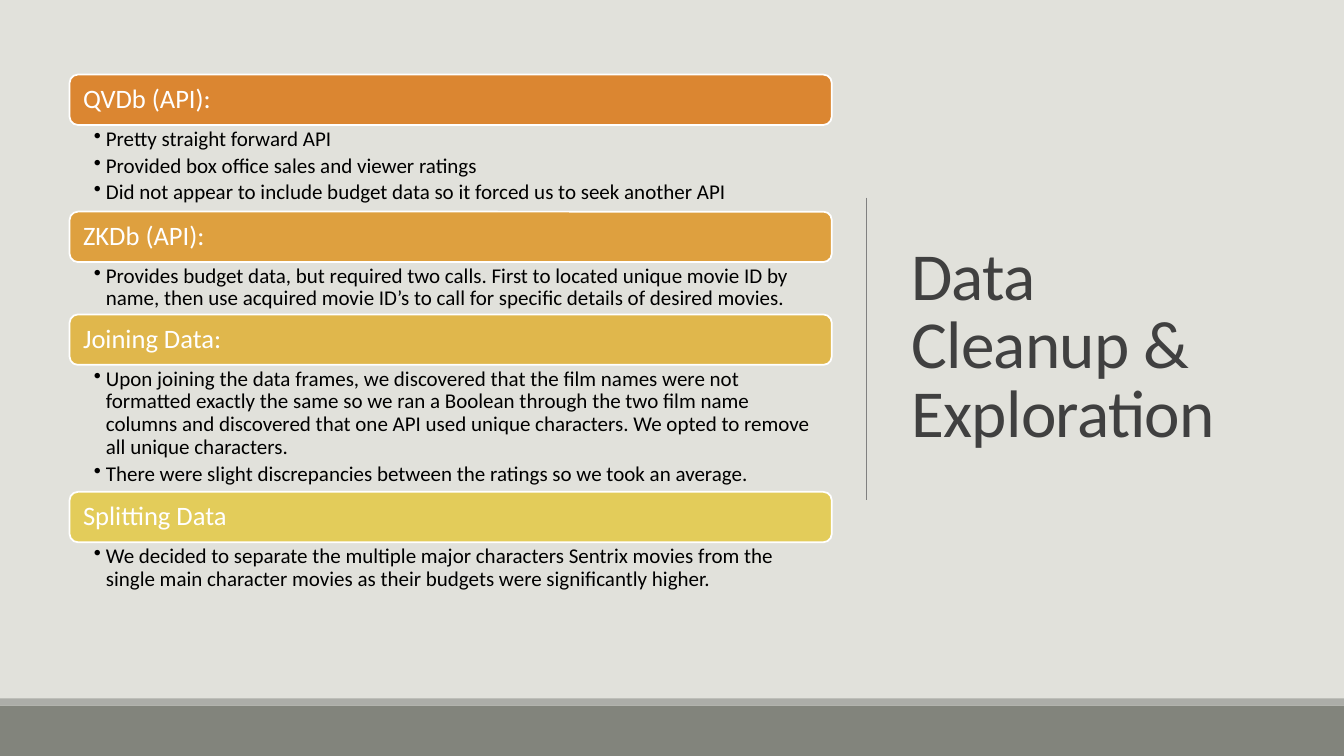
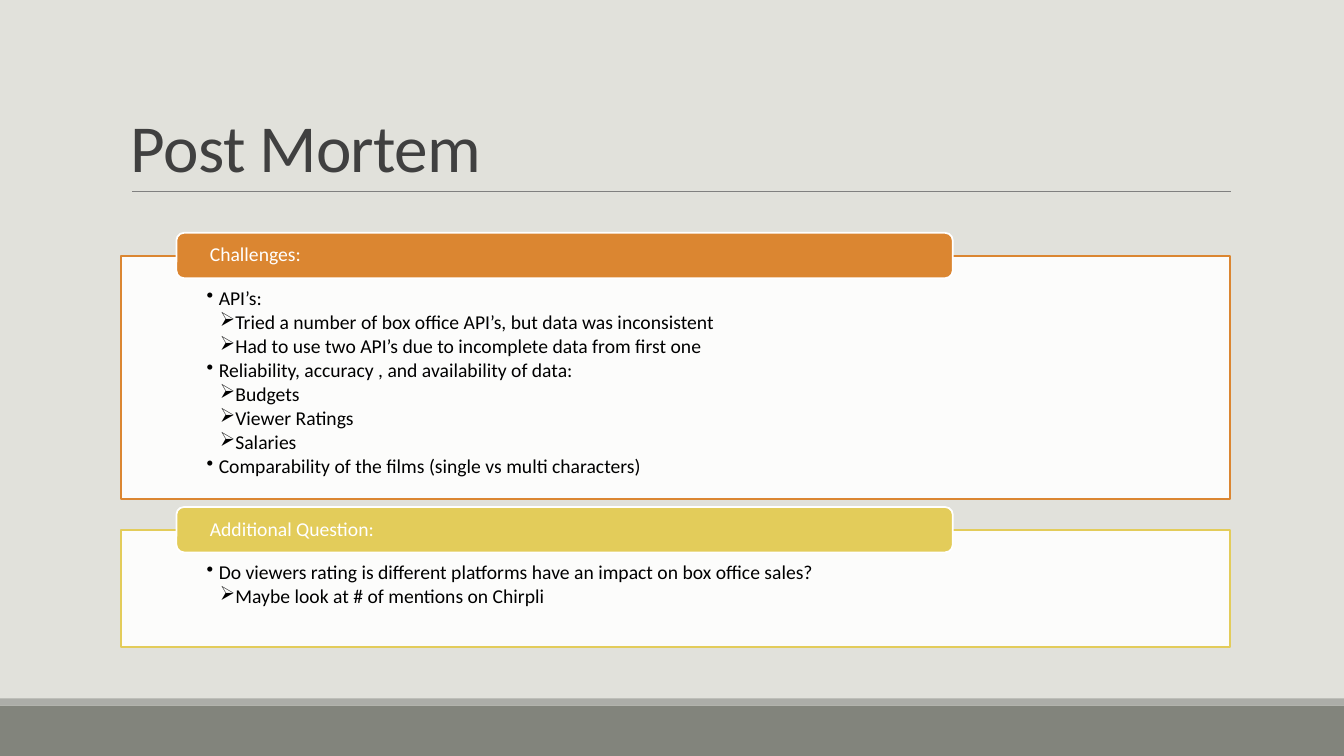
"""Build two slides on film data: cleanup steps and a post mortem."""
from dataclasses import dataclass

from lxml import etree
from pptx import Presentation
from pptx import util as u
from pptx.dml.color import RGBColor
from pptx.enum import shapes, text
from pptx.oxml.ns import qn

FONT = "Calibri"
PAGE, BAND, STRIP, RULE = "E1E1DB", "82847C", "ACADA8", "808080"
INK, BLACK, WHITE = "404040", "000000", "FFFFFF"
ORANGE, AMBER, GOLD, YELLOW = "DB8631", "DEA03F", "E0B74C", "E3CC5A"
WIDE, HIGH = 13.33, 7.5
KIND = shapes.MSO_SHAPE
MID, TOP, LOW = (text.MSO_ANCHOR.MIDDLE, text.MSO_ANCHOR.TOP,
                 text.MSO_ANCHOR.BOTTOM)
MARKS = {1: ("•", 0.12), 2: ("➢", 0.25)}
HANG = 0.12


@dataclass
class Box:
    """Place and size in inches."""
    x: float
    y: float
    w: float
    h: float


@dataclass
class Style:
    """Look of a block of text; pad is left, top, right, bottom."""
    size: float
    color: str
    pad: tuple = (0.1, 0.05, 0.1, 0.05)
    anchor: text.MSO_ANCHOR = TOP
    lead: float = 0.9
    after: float = 0
    track: int = 0


@dataclass
class Topic:
    """A heading with its bullets, each a level and its words."""
    head: str
    color: str
    high: float
    items: list


TITLE = Style(48, INK, anchor=MID, lead=0.85, track=-50)
BASE = Style(48, INK, anchor=LOW, lead=0.85, track=-50)
STEP = Style(19, WHITE, (0.11, 0.08, 0.08, 0.08), MID)
NOTE = Style(15, BLACK, (0.24, 0.03, 0.15, 0.03), after=3)
TAB = Style(14, WHITE, (0.31, 0, 0.31, 0), MID)
LIST = Style(14, BLACK, (0.85, 0.32, 0.85, 0.11), after=2)

STEPS = [
    Topic("QVDb (API):", ORANGE, 0.86, [
        (1, "Pretty straight forward API"),
        (1, "Provided box office sales and viewer ratings"),
        (1, "Did not appear to include budget data so it forced us to seek "
            "another API")]),
    Topic("ZKDb (API):", AMBER, 0.52, [
        (1, "Provides budget data, but required two calls. First to located "
            "unique movie ID by name, then use acquired movie ID’s to call "
            "for specific details of desired movies.")]),
    Topic("Joining Data:", GOLD, 1.26, [
        (1, "Upon joining the data frames, we discovered that the film names "
            "were not formatted exactly the same so we ran a Boolean through "
            "the two film name columns and discovered that one API used "
            "unique characters. We opted to remove all unique characters."),
        (1, "There were slight discrepancies between the ratings so we took "
            "an average.")]),
    Topic("Splitting Data", YELLOW, 0.8, [
        (1, "We decided to separate the multiple major characters Sentrix "
            "movies from the single main character movies as their budgets "
            "were significantly higher.")]),
]
PANELS = [
    Topic("Challenges:", ORANGE, 2.41, [
        (1, "API’s:"),
        (2, "Tried a number of box office API’s, but data was inconsistent"),
        (2, "Had to use two API’s due to incomplete data from first one"),
        (1, "Reliability, accuracy , and availability of data:"),
        (2, "Budgets"),
        (2, "Viewer Ratings"),
        (2, "Salaries"),
        (1, "Comparability of the films (single vs multi characters)")]),
    Topic("Additional Question:", YELLOW, 1.16, [
        (1, "Do viewers rating is different platforms have an impact on box "
            "office sales?"),
        (2, "Maybe look at # of mentions on Chirpli")]),
]


def hue(code: str) -> RGBColor:
    """Turn a hex string into a colour."""
    return RGBColor.from_string(code)


def put(thing, vals: dict) -> None:
    """Set each named value on a thing."""
    for name, val in vals.items():
        setattr(thing, name, val)


def area(box: Box) -> list:
    """Give a box as four lengths."""
    return [u.Inches(n) for n in (box.x, box.y, box.w, box.h)]


def write(shape, items: list, style: Style) -> None:
    """Fill a shape with paragraphs; level 0 has no bullet."""
    frame = shape.text_frame
    sides = ("margin_left", "margin_top", "margin_right", "margin_bottom")
    put(frame, dict(zip(sides, map(u.Inches, style.pad))))
    put(frame, {"word_wrap": True, "vertical_anchor": style.anchor})
    for i, (level, words) in enumerate(items):
        para = frame.add_paragraph() if i else frame.paragraphs[0]
        put(para, {"alignment": text.PP_ALIGN.LEFT,
                   "line_spacing": style.lead,
                   "space_after": u.Pt(style.after)})
        if level:
            mark, dent = MARKS[level]
            prop = para._p.get_or_add_pPr()
            prop.set("lvl", str(level))
            prop.set("marL", str(u.Inches(dent)))
            prop.set("indent", str(-u.Inches(HANG)))
            etree.SubElement(prop, qn("a:buChar")).set("char", mark)
        run = para.add_run()
        run.text = words
        put(run.font, {"name": FONT, "size": u.Pt(style.size)})
        run.font.color.rgb = hue(style.color)
        if style.track:
            run._r.get_or_add_rPr().set("spc", str(style.track))


def block(slide, box: Box, fill: str, edge: str = "", kind=KIND.RECTANGLE):
    """Draw a filled shape with an optional edge."""
    shape = slide.shapes.add_shape(kind, *area(box))
    shape.shadow.inherit = False
    shape.fill.solid()
    shape.fill.fore_color.rgb = hue(fill)
    if edge:
        shape.line.color.rgb = hue(edge)
        shape.line.width = u.Pt(1.25)
    else:
        shape.line.fill.background()
    return shape


def label(slide, box: Box, items: list, style: Style) -> None:
    """Add a text box."""
    write(slide.shapes.add_textbox(*area(box)), items, style)


def pill(slide, box: Box, topic: Topic, style: Style) -> None:
    """Draw a rounded heading."""
    shape = block(slide, box, topic.color, WHITE, KIND.ROUNDED_RECTANGLE)
    write(shape, [(0, topic.head)], style)


def rule(slide, start: tuple, end: tuple) -> None:
    """Draw a thin grey line."""
    line = slide.shapes.add_connector(
        shapes.MSO_CONNECTOR.STRAIGHT, *map(u.Inches, start + end))
    line.line.color.rgb = hue(RULE)
    line.line.width = u.Pt(0.5)
    etree.SubElement(line._element.spPr, qn("a:effectLst"))


def page(deck, title: str, box: Box, style: Style):
    """Add a slide with background, bands and title."""
    slide = deck.slides.add_slide(deck.slide_layouts[6])
    back = slide.background.fill
    back.solid()
    back.fore_color.rgb = hue(PAGE)
    block(slide, Box(0, 7, WIDE, 0.5), BAND)
    block(slide, Box(0, 6.93, WIDE, 0.07), STRIP)
    label(slide, box, [(0, title)], style)
    return slide


def cleanup(deck) -> None:
    """Build the slide of stacked steps."""
    slide = page(deck, "Data Cleanup & Exploration",
                 Box(8.94, 0.69, 3.69, 5.53), TITLE)
    rule(slide, (8.59, 1.96), (8.59, 4.96))
    left, y, wide, bar = 0.69, 0.74, 7.56, 0.5
    for topic in STEPS:
        pill(slide, Box(left, y, wide, bar), topic, STEP)
        label(slide, Box(left, y + bar, wide, topic.high), topic.items, NOTE)
        y += bar + topic.high


def review(deck) -> None:
    """Build the slide of framed panels."""
    slide = page(deck, "Post Mortem", Box(1.2, 0.31, 11, 1.59), BASE)
    rule(slide, (1.31, 1.9), (12.21, 1.9))
    y, gap, rise = 2.54, 0.31, 0.23
    for topic in PANELS:
        panel = block(slide, Box(1.2, y, 11, topic.high), WHITE, topic.color)
        tint = panel._element.spPr.find(qn("a:solidFill"))[0]
        etree.SubElement(tint, qn("a:alpha")).set("val", "90000")
        write(panel, topic.items, LIST)
        pill(slide, Box(1.75, y - rise, 7.7, 0.45), topic, TAB)
        y += topic.high + gap


def main() -> None:
    """Build and save the deck."""
    deck = Presentation()
    put(deck, {"slide_width": u.Inches(WIDE), "slide_height": u.Inches(HIGH)})
    cleanup(deck)
    review(deck)
    deck.save("out.pptx")


if __name__ == "__main__":
    main()
